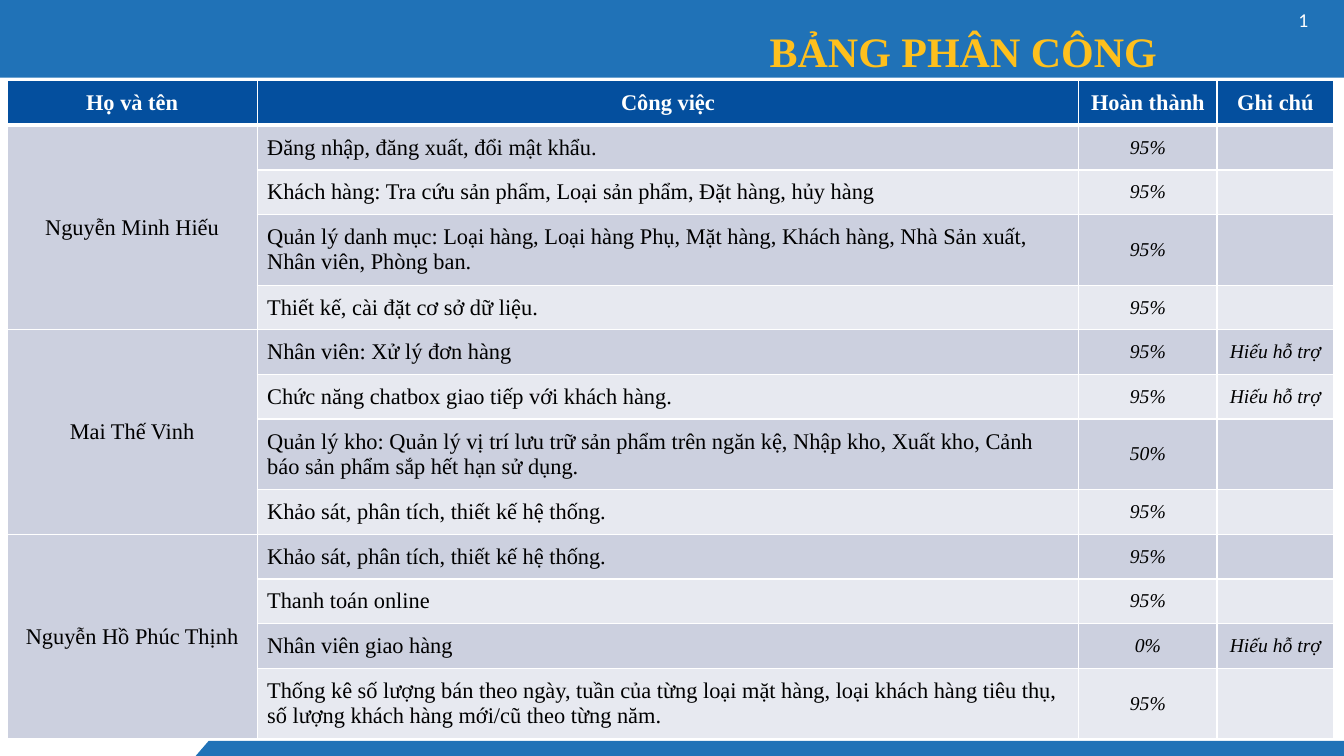
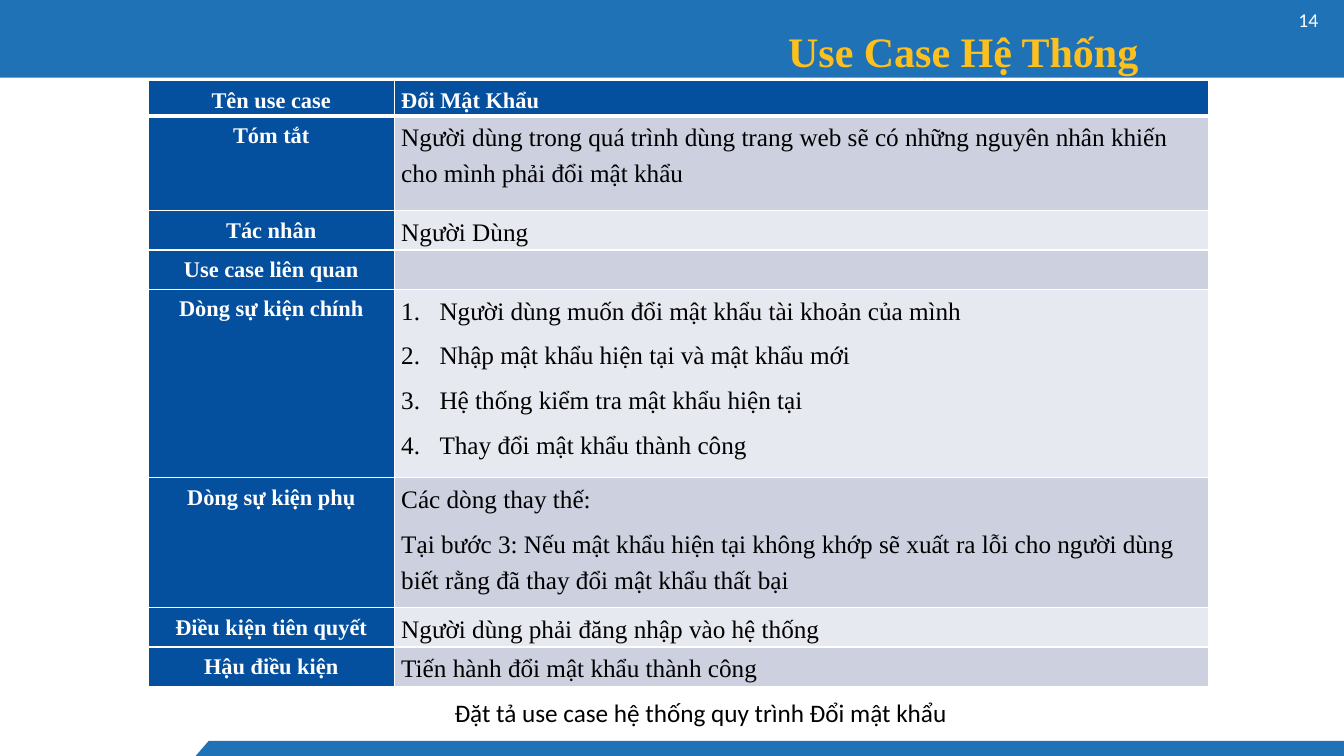
from dataclasses import dataclass, replace

from lxml import etree
from pptx import Presentation
from pptx.dml.color import RGBColor
from pptx.enum.shapes import MSO_SHAPE
from pptx.enum.text import MSO_ANCHOR, PP_ALIGN
from pptx.oxml.ns import qn
from pptx.util import Inches, Pt

LEFT, CENTER, JUSTIFY = PP_ALIGN.LEFT, PP_ALIGN.CENTER, PP_ALIGN.JUSTIFY
TOP, MIDDLE, BOTTOM = MSO_ANCHOR.TOP, MSO_ANCHOR.MIDDLE, MSO_ANCHOR.BOTTOM
RECTANGLE = MSO_SHAPE.RECTANGLE

BAND_BLUE = RGBColor(0x20, 0x72, 0xB7)
HEADER_BLUE = RGBColor(0x04, 0x4F, 0x9E)
GOLD = RGBColor(0xFE, 0xC0, 0x1D)
WHITE = RGBColor(0xFF, 0xFF, 0xFF)
BLACK = RGBColor(0, 0, 0)
STRIPES = (RGBColor(0xCC, 0xD0, 0xDF), RGBColor(0xE7, 0xE9, 0xF0))

SLIDE_WIDTH, SLIDE_HEIGHT = 13.33, 7.5
TITLE_BOX = (5.78, 0, 7.55, 0.8)
PAGE_NUMBER_BOX = (12.78, 0, 0.55, 0.4)
SERIF, SANS = "Times New Roman", "Calibri"


@dataclass(frozen=True)
class TextStyle:
    size: int
    color: RGBColor = BLACK
    font: str = SERIF
    bold: bool = False
    italic: bool = False
    align: PP_ALIGN = LEFT
    anchor: MSO_ANCHOR = MIDDLE
    line_spacing: float = 1.0
    gap: int = 0
    numbered: bool = False


TITLE = TextStyle(30, GOLD, bold=True, align=CENTER, anchor=BOTTOM, line_spacing=2.0)
PAGE_NUMBER = TextStyle(14, WHITE, SANS)
CAPTION = TextStyle(18, font=SANS, anchor=TOP)

TASK = TextStyle(16)
MEMBER = replace(TASK, align=CENTER)
TASK_HEADER = replace(MEMBER, color=WHITE, bold=True)
REMARK = TextStyle(14, italic=True, align=CENTER)

DETAIL = TextStyle(18, anchor=TOP, line_spacing=1.3, gap=6)
STEPS = replace(DETAIL, align=JUSTIFY, numbered=True)
LABEL = replace(DETAIL, size=16, color=WHITE, bold=True, align=CENTER)
USE_CASE_NAME = replace(LABEL, align=LEFT)

TASK_COLUMNS = (2.48, 8.15, 1.37, 1.16)
TASK_TABLE_HEIGHT, TALL_ROW = 6.53, 0.7
TASK_HEADERS = ("Họ và tên", "Công việc", "Hoàn thành", "Ghi chú")
HELPED = "Hiếu hỗ trợ"
ASSIGNMENTS = {
    "Nguyễn Minh Hiếu": (
        ("Đăng nhập, đăng xuất, đổi mật khẩu.", "95%", ""),
        ("Khách hàng: Tra cứu sản phẩm, Loại sản phẩm, Đặt hàng, hủy hàng", "95%", ""),
        ("Quản lý danh mục: Loại hàng, Loại hàng Phụ, Mặt hàng, Khách hàng, "
         "Nhà Sản xuất, Nhân viên, Phòng ban.", "95%", ""),
        ("Thiết kế, cài đặt cơ sở dữ liệu.", "95%", ""),
    ),
    "Mai Thế Vinh": (
        ("Nhân viên: Xử lý đơn hàng", "95%", HELPED),
        ("Chức năng chatbox giao tiếp với khách hàng.", "95%", HELPED),
        ("Quản lý kho: Quản lý vị trí lưu trữ sản phẩm trên ngăn kệ, Nhập kho, "
         "Xuất kho, Cảnh báo sản phẩm sắp hết hạn sử dụng.", "50%", ""),
        ("Khảo sát, phân tích, thiết kế hệ thống.", "95%", ""),
    ),
    "Nguyễn Hồ Phúc Thịnh": (
        ("Khảo sát, phân tích, thiết kế hệ thống.", "95%", ""),
        ("Thanh toán online", "95%", ""),
        ("Nhân viên giao hàng", "0%", HELPED),
        ("Thống kê số lượng bán theo ngày, tuần của từng loại mặt hàng, loại khách "
         "hàng tiêu thụ, số lượng khách hàng mới/cũ theo từng năm.", "95%", ""),
    ),
}
TALL_TASK_ROWS = (3, 7, 12)

USE_CASE_COLUMNS = (2.44, 8.08)
USE_CASE_ROWS = (
    ("Tên use case", "Đổi Mật Khẩu", USE_CASE_NAME, 0.35),
    ("Tóm tắt", "Người dùng trong quá trình dùng trang web sẽ có những nguyên nhân "
     "khiến cho mình phải đổi mật khẩu", DETAIL, 0.94),
    ("Tác nhân", "Người Dùng", DETAIL, 0.39),
    ("Use case liên quan", "", DETAIL, 0.39),
    ("Dòng sự kiện chính",
     "Người dùng muốn đổi mật khẩu tài khoản của mình\n"
     "Nhập mật khẩu hiện tại và mật khẩu mới\n"
     "Hệ thống kiểm tra mật khẩu hiện tại\n"
     "Thay đổi mật khẩu thành công", STEPS, 1.87),
    ("Dòng sự kiện phụ",
     "Các dòng thay thế:\n"
     "Tại bước 3: Nếu mật khẩu hiện tại không khớp sẽ xuất ra lỗi cho người dùng "
     "biết rằng đã thay đổi mật khẩu thất bại", DETAIL, 1.29),
    ("Điều kiện tiên quyết", "Người dùng phải đăng nhập vào hệ thống", DETAIL, 0.39),
    ("Hậu điều kiện", "Tiến hành đổi mật khẩu thành công", DETAIL, 0.39),
)


def number_paragraph(paragraph):
    properties = paragraph._p.get_or_add_pPr()
    properties.set("marL", str(Inches(0.38)))
    properties.set("indent", str(Inches(-0.38)))
    etree.SubElement(properties, qn("a:buAutoNum"), type="arabicPeriod")
    tabs = etree.SubElement(properties, qn("a:tabLst"))
    etree.SubElement(tabs, qn("a:tab"), pos=str(Inches(0.3)), algn="l")


def write_text(text_frame, text, style):
    text_frame.text = text
    for index, paragraph in enumerate(text_frame.paragraphs):
        if style.numbered:
            number_paragraph(paragraph)
        paragraph.alignment = style.align
        paragraph.line_spacing = style.line_spacing
        if index and style.gap:
            paragraph.space_before = Pt(style.gap)
        for run in paragraph.runs:
            run.font.name = style.font
            run.font.size = Pt(style.size)
            run.font.bold = style.bold
            run.font.italic = style.italic
            run.font.color.rgb = style.color


def add_text(slide, box, text, style, wrap=True):
    text_frame = slide.shapes.add_textbox(*map(Inches, box)).text_frame
    text_frame.word_wrap = wrap
    text_frame.vertical_anchor = style.anchor
    write_text(text_frame, text, style)


def paint(shape, color):
    shape.shadow.inherit = False
    shape.fill.solid()
    shape.fill.fore_color.rgb = color
    shape.line.fill.background()


def add_bands(slide):
    header = slide.shapes.add_shape(
        RECTANGLE, 0, Inches(-0.01), Inches(SLIDE_WIDTH), Inches(0.78))
    paint(header, BAND_BLUE)
    builder = slide.shapes.build_freeform(Inches(2.07), Inches(7.35))
    corners = ((SLIDE_WIDTH, 7.35), (SLIDE_WIDTH, SLIDE_HEIGHT), (1.94, SLIDE_HEIGHT))
    builder.add_line_segments([(Inches(x), Inches(y)) for x, y in corners], close=True)
    paint(builder.convert_to_shape(), BAND_BLUE)


def add_base_slide(presentation, title, number):
    slide = presentation.slides.add_slide(presentation.slide_layouts[6])
    add_bands(slide)
    add_text(slide, TITLE_BOX, title, TITLE)
    add_text(slide, PAGE_NUMBER_BOX, number, PAGE_NUMBER)
    return slide


def add_grid(slide, left, top, columns, rows):
    frame = slide.shapes.add_table(
        len(rows), len(columns), Inches(left), Inches(top),
        Inches(sum(columns)), Inches(sum(rows)))
    table = frame.table
    table.horz_banding = False
    for column, width in zip(table.columns, columns):
        column.width = Inches(width)
    for row, height in zip(table.rows, rows):
        row.height = Inches(height)
    return table


def add_borders(cell, row):
    properties = cell._tc.get_or_add_tcPr()
    widths = {"L": 1, "R": 1, "T": 3 if row == 1 else 1, "B": 3 if row == 0 else 1}
    for side, width in widths.items():
        line = etree.SubElement(properties, qn(f"a:ln{side}"), w=str(Pt(width)))
        fill = etree.SubElement(line, qn("a:solidFill"))
        etree.SubElement(fill, qn("a:srgbClr"), val=str(WHITE))


def fill_cell(table, row, column, text, style, color, margins=(0.1, 0.05)):
    cell = table.cell(row, column)
    add_borders(cell, row)
    cell.fill.solid()
    cell.fill.fore_color.rgb = color
    cell.margin_left = cell.margin_right = Inches(margins[0])
    cell.margin_top = cell.margin_bottom = Inches(margins[1])
    cell.vertical_anchor = style.anchor
    write_text(cell.text_frame, text, style)


def add_assignment_table(slide):
    row_count = 1 + sum(len(tasks) for tasks in ASSIGNMENTS.values())
    tall_count = len(TALL_TASK_ROWS)
    short_row = (TASK_TABLE_HEIGHT - tall_count * TALL_ROW) / (row_count - tall_count)
    heights = [TALL_ROW if row in TALL_TASK_ROWS else short_row for row in range(row_count)]
    table = add_grid(slide, 0.07, 0.8, TASK_COLUMNS, heights)
    for column, header in enumerate(TASK_HEADERS):
        fill_cell(table, 0, column, header, TASK_HEADER, HEADER_BLUE)
    row = 1
    for member, tasks in ASSIGNMENTS.items():
        first_row = row
        for task in tasks:
            name = member if row == first_row else ""
            fill_cell(table, row, 0, name, MEMBER, STRIPES[0])
            stripe = STRIPES[(row - 1) % 2]
            for column, (text, style) in enumerate(zip(task, (TASK, REMARK, REMARK)), 1):
                fill_cell(table, row, column, text, style, stripe)
            row += 1
        table.cell(first_row, 0).merge(table.cell(row - 1, 0))


def add_use_case_table(slide):
    heights = [height for *_, height in USE_CASE_ROWS]
    table = add_grid(slide, 1.47, 0.8, USE_CASE_COLUMNS, heights)
    margins = (0.07, 0)
    for row, (label, text, style, _) in enumerate(USE_CASE_ROWS):
        color = STRIPES[(row - 1) % 2] if row else HEADER_BLUE
        fill_cell(table, row, 0, label, LABEL, HEADER_BLUE, margins)
        fill_cell(table, row, 1, text, style, color, margins)


def main():
    presentation = Presentation()
    presentation.slide_width = Inches(SLIDE_WIDTH)
    presentation.slide_height = Inches(SLIDE_HEIGHT)

    assignment = add_base_slide(presentation, "BẢNG PHÂN CÔNG", "1")
    add_assignment_table(assignment)

    use_case = add_base_slide(presentation, "Use Case Hệ Thống", "14")
    add_text(use_case, (4.41, 6.87, 5.14, 0.4),
             "Đặt tả use case hệ thống quy trình Đổi mật khẩu", CAPTION, wrap=False)
    add_use_case_table(use_case)

    presentation.save("out.pptx")


if __name__ == "__main__":
    main()
